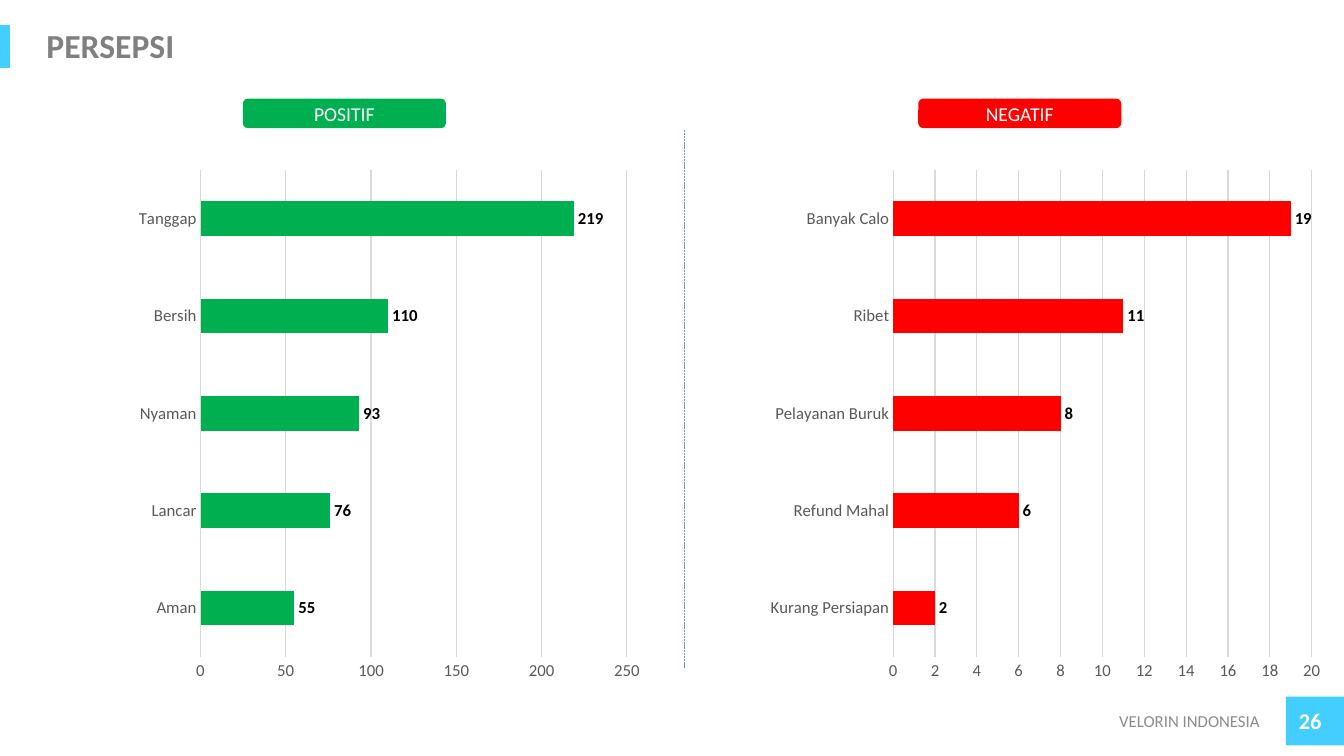
from dataclasses import dataclass

from lxml import etree
from pptx import Presentation
from pptx.chart.chart import Chart
from pptx.chart.data import CategoryChartData
from pptx.dml.color import RGBColor
from pptx.enum.chart import XL_CHART_TYPE, XL_LABEL_POSITION, XL_TICK_MARK
from pptx.enum.dml import MSO_LINE
from pptx.enum.shapes import MSO_CONNECTOR, MSO_SHAPE
from pptx.enum.text import MSO_ANCHOR, PP_ALIGN
from pptx.oxml.ns import qn
from pptx.shapes.autoshape import Shape
from pptx.slide import Slide
from pptx.text.text import Font
from pptx.util import Pt

BAR_CLUSTERED = XL_CHART_TYPE.BAR_CLUSTERED
OUTSIDE_END = XL_LABEL_POSITION.OUTSIDE_END
NO_TICK = XL_TICK_MARK.NONE
SQUARE_DOT = MSO_LINE.SQUARE_DOT
STRAIGHT = MSO_CONNECTOR.STRAIGHT
RECTANGLE = MSO_SHAPE.RECTANGLE
ROUNDED = MSO_SHAPE.ROUNDED_RECTANGLE
MIDDLE = MSO_ANCHOR.MIDDLE
LEFT, CENTER, RIGHT = PP_ALIGN.LEFT, PP_ALIGN.CENTER, PP_ALIGN.RIGHT
TITLE_ONLY = 5


@dataclass(frozen=True)
class Theme:
    font: str = "Calibri"
    accent: str = "43CEFF"
    positive: str = "00B050"
    negative: str = "FF0000"
    title: str = "808080"
    footer: str = "8C8C8C"
    axis: str = "595959"
    grid: str = "D9D9D9"
    divider: str = "5B9BD5"
    white: str = "FFFFFF"
    black: str = "000000"
    title_size: float = 24
    page_size: float = 16
    badge_size: float = 14
    small_size: float = 12


THEME = Theme()


@dataclass(frozen=True)
class Box:
    left: float
    top: float
    width: float
    height: float

    def lengths(self) -> tuple[Pt, Pt, Pt, Pt]:
        return Pt(self.left), Pt(self.top), Pt(self.width), Pt(self.height)


@dataclass(frozen=True)
class Perception:
    heading: str
    color: str
    badge_left: float
    chart_left: float
    plot_x: float
    plot_width: float
    axis_max: float
    axis_step: float
    counts: dict[str, int]


@dataclass(frozen=True)
class FooterText:
    text: str
    box: Box
    size: float
    color: str
    bold: bool


PERCEPTIONS = [
    Perception("POSITIF", THEME.positive, 173.5, 31.7, 0.26, 0.71, 250, 50,
               {"Aman": 55, "Lancar": 76, "Nyaman": 93, "Bersih": 110, "Tanggap": 219}),
    Perception("NEGATIF", THEME.negative, 655.9, 514.1, 0.29, 0.7, 20, 2,
               {"Kurang Persiapan": 2, "Refund Mahal": 6, "Pelayanan Buruk": 8,
                "Ribet": 11, "Banyak Calo": 19}),
]
ACCENT_BLOCKS = [Box(918.5, 497.5, 41.5, 35), Box(0, 18, 7, 30.5)]
FOOTER_TEXTS = [
    FooterText("VELORIN INDONESIA", Box(583, 500.5, 324, 29), THEME.small_size, THEME.footer, False),
    FooterText("26", Box(885, 500.5, 66, 29), THEME.page_size, THEME.white, True),
]


def style_font(font: Font, size: float, color: str, bold: bool = False) -> None:
    font.name = THEME.font
    font.size = Pt(size)
    font.bold = bold
    font.color.rgb = RGBColor.from_string(color)


def write(holder: Shape, text: str, size: float, color: str,
          align: PP_ALIGN, bold: bool = False) -> None:
    frame = holder.text_frame
    frame.word_wrap = True
    frame.vertical_anchor = MIDDLE
    paragraph = frame.paragraphs[0]
    paragraph.alignment = align
    run = paragraph.add_run()
    run.text = text
    style_font(run.font, size, color, bold)


def add_block(slide: Slide, preset: MSO_SHAPE, box: Box, color: str) -> Shape:
    block = slide.shapes.add_shape(preset, *box.lengths())
    block.shadow.inherit = False
    block.fill.solid()
    block.fill.fore_color.rgb = RGBColor.from_string(color)
    block.line.fill.background()
    return block


def add_title(slide: Slide, text: str) -> None:
    title = slide.shapes.title
    title.left, title.top, title.width, title.height = Box(26, 19.5, 814, 29.5).lengths()
    write(title, text, THEME.title_size, THEME.title, LEFT, bold=True)
    title.text_frame.paragraphs[0].line_spacing = 0.9


def add_divider(slide: Slide) -> None:
    divider = slide.shapes.add_connector(STRAIGHT, Pt(489), Pt(93), Pt(489), Pt(477.5))
    divider.line.color.rgb = RGBColor.from_string(THEME.divider)
    divider.line.width = Pt(0.5)
    divider.line.dash_style = SQUARE_DOT
    etree.SubElement(divider.element.spPr, qn("a:effectLst"))


def set_plot_layout(chart: Chart, x: float, width: float) -> None:
    plot_area = chart.element.find(".//" + qn("c:plotArea"))
    layout = plot_area.find(qn("c:layout"))
    if layout is None:
        layout = etree.Element(qn("c:layout"))
        plot_area.insert(0, layout)
    manual = etree.SubElement(layout, qn("c:manualLayout"))
    settings = {"layoutTarget": "inner", "xMode": "edge", "yMode": "edge",
                "x": x, "y": 0.02, "w": width, "h": 0.92}
    for tag, value in settings.items():
        etree.SubElement(manual, qn(f"c:{tag}")).set("val", str(value))


def add_perception_chart(slide: Slide, perception: Perception) -> None:
    data = CategoryChartData(number_format="0")
    data.categories = list(perception.counts)
    data.add_series("Series 1", list(perception.counts.values()))
    box = Box(perception.chart_left, 113.8, 429, 378)
    chart = slide.shapes.add_chart(BAR_CLUSTERED, *box.lengths(), data).chart
    chart.has_title = False
    chart.has_legend = False
    style_font(chart.font, 10, THEME.black)
    set_plot_layout(chart, perception.plot_x, perception.plot_width)

    categories, values = chart.category_axis, chart.value_axis
    for axis in (categories, values):
        axis.major_tick_mark = axis.minor_tick_mark = NO_TICK
        style_font(axis.tick_labels.font, THEME.small_size, THEME.axis)
    values.minimum_scale = 0
    values.maximum_scale = perception.axis_max
    values.major_unit = perception.axis_step
    values.has_major_gridlines = True
    values.format.line.fill.background()
    for line in (categories.format.line, values.major_gridlines.format.line):
        line.color.rgb = RGBColor.from_string(THEME.grid)
        line.width = Pt(0.75)

    plot = chart.plots[0]
    plot.gap_width = 182
    plot.vary_by_categories = False
    bars = plot.series[0]
    bars.invert_if_negative = False
    bars.format.fill.solid()
    bars.format.fill.fore_color.rgb = RGBColor.from_string(perception.color)
    labels = bars.data_labels
    labels.show_value = True
    labels.position = OUTSIDE_END
    style_font(labels.font, THEME.small_size, THEME.black, bold=True)


def main() -> None:
    presentation = Presentation()
    presentation.slide_width, presentation.slide_height = Pt(960), Pt(540)
    slide = presentation.slides.add_slide(presentation.slide_layouts[TITLE_ONLY])
    for box in ACCENT_BLOCKS:
        add_block(slide, RECTANGLE, box, THEME.accent)
    for footer in FOOTER_TEXTS:
        holder = slide.shapes.add_textbox(*footer.box.lengths())
        write(holder, footer.text, footer.size, footer.color, RIGHT, footer.bold)
    add_title(slide, "PERSEPSI")
    add_divider(slide)
    for perception in PERCEPTIONS:
        add_perception_chart(slide, perception)
        badge_box = Box(perception.badge_left, 70.5, 145, 21)
        badge = add_block(slide, ROUNDED, badge_box, perception.color)
        write(badge, perception.heading, THEME.badge_size, THEME.white, CENTER)
    presentation.save("out.pptx")


if __name__ == "__main__":
    main()
